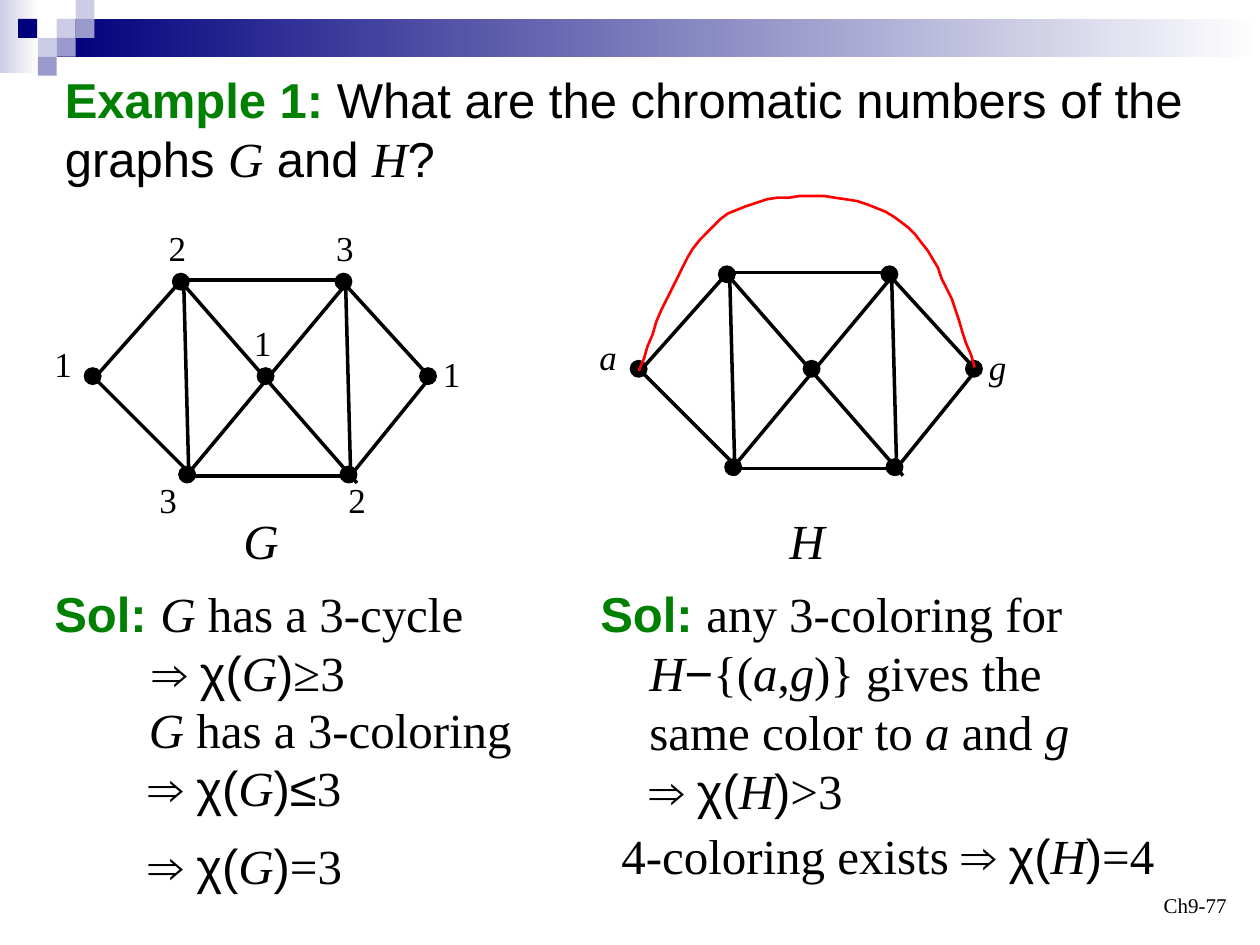
from dataclasses import dataclass
from typing import NamedTuple

from lxml.etree import SubElement
from pptx import Presentation
from pptx.dml.color import RGBColor
from pptx.enum.shapes import MSO_CONNECTOR, MSO_SHAPE
from pptx.enum.text import MSO_ANCHOR, PP_ALIGN
from pptx.oxml.ns import qn
from pptx.util import Pt

SERIF, SANS = "Times New Roman", "Arial"
BLACK, GREEN, RED = "000000", "008000", "FF0000"
NAVY, LAVENDER, PERIWINKLE, WHITE = "00007D", "CCCCE6", "9999CC", "FFFFFF"


class Point(NamedTuple):
    x: float
    y: float


class Edge(NamedTuple):
    x1: float
    y1: float
    x2: float
    y2: float


@dataclass
class Span:
    text: str
    font: str = SERIF
    color: str = BLACK
    bold: bool = False
    italic: bool = False


@dataclass
class Line:
    spans: list[Span]
    indent: float = 0


@dataclass
class Label:
    text: str
    x: float
    y: float
    size: float = 20
    italic: bool = False


@dataclass
class Block:
    x: float
    y: float
    width: float
    height: float
    fill: str
    fade_to: str = ""


def hex_color(value: str) -> RGBColor:
    return RGBColor.from_string(value)


def heading(text: str) -> Span:
    return Span(text, font=SANS, color=GREEN, bold=True)


def math(text: str) -> Span:
    return Span(text, italic=True)


def sans(text: str) -> Span:
    return Span(text, font=SANS)


def chromatic(graph: str, relation: str, lead: str = "⇒ ") -> list[Span]:
    return [Span(lead), sans("χ("), math(graph), sans(")"), Span(relation)]


def add_text(slide, lines: list[Line], *, x: float, y: float, width: float, height: float,
             size: float = 28, align=PP_ALIGN.LEFT, anchor=MSO_ANCHOR.TOP) -> None:
    frame = slide.shapes.add_textbox(Pt(x), Pt(y), Pt(width), Pt(height)).text_frame
    frame.word_wrap = True
    frame.vertical_anchor = anchor
    for index, line in enumerate(lines):
        paragraph = frame.add_paragraph() if index else frame.paragraphs[0]
        paragraph.alignment = align
        if line.indent:
            paragraph._p.get_or_add_pPr().set("marL", str(Pt(line.indent)))
        for span in line.spans:
            run = paragraph.add_run()
            run.text = span.text
            run.font.name = span.font
            run.font.size = Pt(size)
            run.font.bold = span.bold
            run.font.italic = span.italic
            run.font.color.rgb = hex_color(span.color)


def add_label(slide, label: Label) -> None:
    width, height = (35, 41) if label.size > 20 else (24.5, 31)
    add_text(slide, [Line([Span(label.text, italic=label.italic)])],
             x=label.x, y=label.y, width=width, height=height, size=label.size)


def add_block(slide, block: Block) -> None:
    rect = slide.shapes.add_shape(MSO_SHAPE.RECTANGLE, Pt(block.x), Pt(block.y),
                                  Pt(block.width), Pt(block.height))
    rect.shadow.inherit = False
    rect.line.fill.background()
    if block.fade_to:
        rect.fill.gradient()
        rect.fill.gradient_angle = 0
        for stop, color in zip(rect.fill.gradient_stops, (block.fill, block.fade_to)):
            stop.color.rgb = hex_color(color)
    else:
        rect.fill.solid()
        rect.fill.fore_color.rgb = hex_color(block.fill)


def add_edge(slide, edge: Edge) -> None:
    line = slide.shapes.add_connector(MSO_CONNECTOR.STRAIGHT, *map(Pt, edge))
    line.line.color.rgb = hex_color(BLACK)
    line.line.width = Pt(2)
    SubElement(line._element.spPr, qn("a:effectLst"))


def add_vertex(slide, corner: Point) -> None:
    dot = slide.shapes.add_shape(MSO_SHAPE.FLOWCHART_CONNECTOR, Pt(corner.x), Pt(corner.y),
                                 Pt(9.5), Pt(9.5))
    dot.shadow.inherit = False
    dot.fill.solid()
    dot.fill.fore_color.rgb = hex_color(BLACK)
    dot.line.color.rgb = hex_color(BLACK)
    dot.line.width = Pt(0.75)


def add_graph(slide, dx: float, dy: float) -> None:
    for edge in EDGES:
        add_edge(slide, Edge(edge.x1 + dx, edge.y1 + dy, edge.x2 + dx, edge.y2 + dy))
    for corner in VERTICES:
        add_vertex(slide, Point(corner.x + dx, corner.y + dy))


def bezier(nodes: list[Point], t: float) -> Point:
    weights = ((1 - t) ** 3, 3 * t * (1 - t) ** 2, 3 * t * t * (1 - t), t ** 3)
    return Point(sum(w * n.x for w, n in zip(weights, nodes)),
                 sum(w * n.y for w, n in zip(weights, nodes)))


def add_curve(slide, nodes: list[Point], steps: int = 16) -> None:
    trace = [bezier(nodes[start:start + 4], step / steps)
             for start in range(0, len(nodes) - 1, 3) for step in range(1, steps + 1)]
    builder = slide.shapes.build_freeform(nodes[0].x, nodes[0].y, scale=Pt(1))
    builder.add_line_segments(trace, close=False)
    curve = builder.convert_to_shape()
    curve.shadow.inherit = False
    curve.fill.background()
    curve.line.color.rgb = hex_color(RED)
    curve.line.width = Pt(1.5)


BANNER = [Block(0, 0, 22, 42, LAVENDER, WHITE), Block(32.4, 10.8, 687.6, 21.6, NAVY, WHITE)] + [
    Block(x, y, 10.8, 10.8, fill) for x, y, fill in (
        (32.4, 10.8, LAVENDER), (43.2, 0, LAVENDER), (43.2, 10.8, PERIWINKLE),
        (21.6, 21.6, LAVENDER), (10.4, 10.8, NAVY), (32.4, 21.6, PERIWINKLE),
        (21.6, 32.4, PERIWINKLE))]
EDGES = [Edge(108, 270, 198, 162), Edge(105, 162, 108, 276), Edge(102, 162, 54, 216),
         Edge(104.4, 162, 204, 276), Edge(246, 216, 198, 163.4), Edge(54, 216, 108, 270),
         Edge(102, 160, 198, 160), Edge(197.5, 162, 200.5, 276), Edge(108, 272, 204, 272),
         Edge(245.5, 216, 203, 268.5)]
VERTICES = [Point(98.6, 156.2), Point(48.2, 210.2), Point(147, 210.2), Point(239.8, 210.2),
            Point(191.5, 156.2), Point(102.2, 266.4), Point(194.4, 266.4)]
LABELS = [Label("2", 89.3, 126), Label("1", 24, 192), Label("3", 185, 126),
          Label("1", 138, 180), Label("1", 246, 198), Label("3", 84, 270),
          Label("2", 192, 270), Label("a", 335.5, 188, italic=True),
          Label("g", 558, 193.7, italic=True), Label("G", 132, 288, 28, True),
          Label("H", 444, 288, 28, True)]
EXTRA_EDGE = [Point(365, 211.7), Point(378.7, 174.2), Point(391.7, 137.5), Point(416.2, 122.4),
              Point(440.6, 108), Point(487.4, 108.7), Point(511.2, 123.8),
              Point(534.2, 138.2), Point(545.8, 174.2), Point(556.6, 209.5)]


def main() -> None:
    deck = Presentation()
    deck.slide_width, deck.slide_height = Pt(720), Pt(540)
    slide = deck.slides.add_slide(deck.slide_layouts[6])
    for block in BANNER:
        add_block(slide, block)
    add_text(slide, [Line([heading("Example 1:"),
                           sans(" What are the chromatic numbers of the graphs "), math("G"),
                           sans(" and "), math("H"), sans("?")])],
             x=30, y=36, width=660, height=74)
    add_graph(slide, 0, 0)
    add_graph(slide, 312, -4.2)
    add_curve(slide, EXTRA_EDGE)
    for label in LABELS:
        add_label(slide, label)
    add_text(slide, [Line([heading("Sol: "), math("G "), Span("has a 3-cycle")]),
                     Line(chromatic("G", "≥3"), 56)], x=24, y=330, width=258, height=75)
    add_text(slide, [Line([math("G "), Span("has a 3-coloring")]),
                     Line([Span("⇒ "), sans("χ("), math("G"), sans(")≤"), Span("3")])],
             x=78, y=396, width=231, height=75)
    add_text(slide, [Line(chromatic("G", "=3"))], x=78, y=474, width=140, height=41)
    add_text(slide, [Line([heading("Sol: "), Span("any 3-coloring for")]),
                     Line([math("H"), sans("−"), Span("{("), math("a"), Span(","), math("g"),
                           Span(")} gives the")], 28),
                     Line([Span("same color to "), math("a"), Span(" and "), math("g")], 28),
                     Line(chromatic("H", ">3"), 28)], x=336, y=330, width=284, height=176)
    add_text(slide, [Line(chromatic("H", "=4", "4-coloring exists ⇒ "))],
             x=348, y=468, width=342, height=41)
    add_text(slide, [Line([Span("Ch9-77")])], x=540, y=492, width=168, height=36, size=12,
             align=PP_ALIGN.RIGHT, anchor=MSO_ANCHOR.BOTTOM)
    deck.save("out.pptx")


if __name__ == "__main__":
    main()
